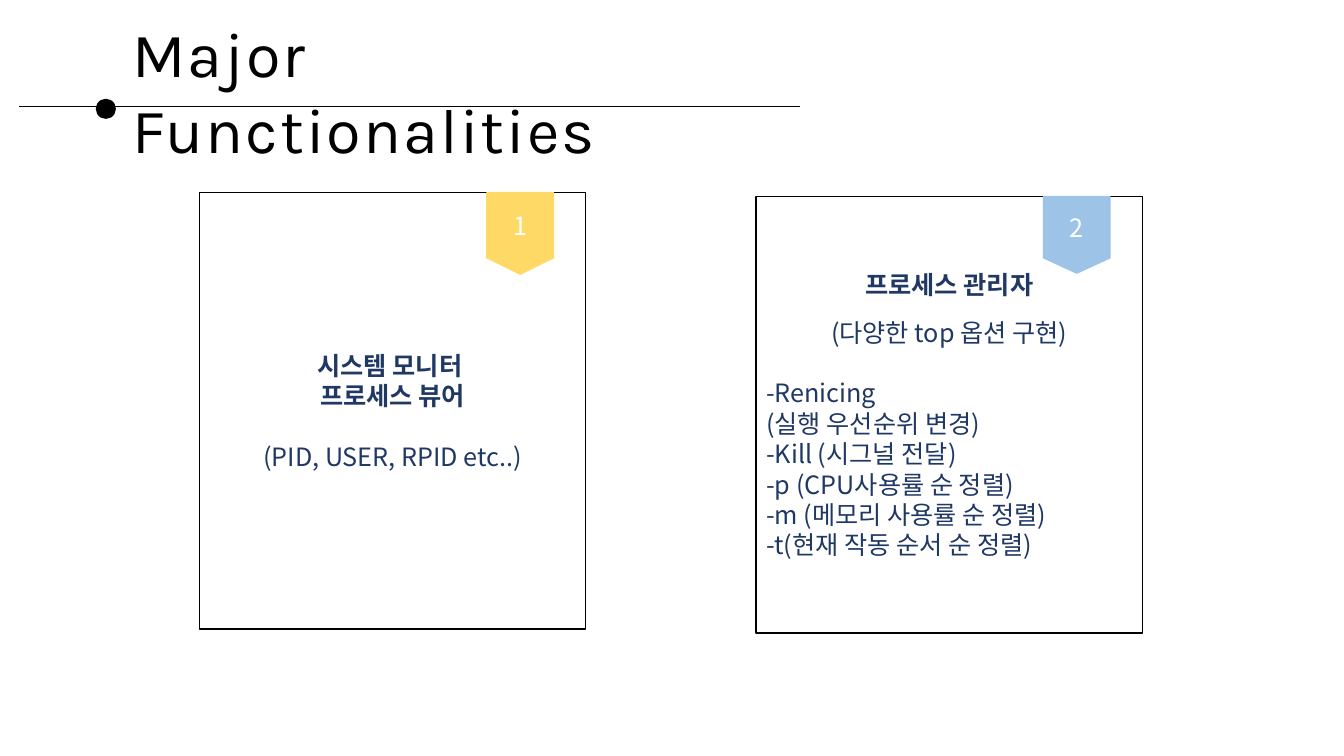
from lxml.etree import SubElement
from pptx import Presentation
from pptx.dml.color import RGBColor
from pptx.enum.shapes import MSO_CONNECTOR, MSO_SHAPE
from pptx.enum.text import MSO_ANCHOR, MSO_AUTO_SIZE, PP_ALIGN
from pptx.oxml.ns import qn
from pptx.util import Inches, Pt

HUES = {"ink": "000000", "paper": "FFFFFF", "navy": "203864",
        "gold": "FFD966", "sky": "9DC3E6"}
NOTO = "Noto Sans CJK KR"


def write(para, text, size=18, font=NOTO, hue="navy", bold=False,
          align=PP_ALIGN.CENTER, pitch=21.7, before=0, track=0):
    para.alignment = align
    para.line_spacing = Pt(pitch)
    para.space_before = Pt(before)
    run = para.add_run()
    run.text = text
    run.font.size = Pt(size)
    run.font.name = font
    run.font.bold = bold
    run.font.color.rgb = RGBColor.from_string(HUES[hue])
    props = run._r.get_or_add_rPr()
    SubElement(props, qn("a:ea")).set("typeface", NOTO)
    if track:
        props.set("spc", str(track))


def place(kind, left, top, width, height, fill, line):
    shape = slide.shapes.add_shape(
        kind, Inches(left), Inches(top), Inches(width), Inches(height))
    shape.shadow.inherit = False
    shape.fill.solid()
    shape.fill.fore_color.rgb = RGBColor.from_string(HUES[fill])
    shape.line.color.rgb = RGBColor.from_string(HUES[line])
    shape.line.width = Pt(1)
    shape.text_frame.word_wrap = True
    shape.text_frame.vertical_anchor = MSO_ANCHOR.MIDDLE
    return shape


deck = Presentation()
deck.slide_width = Inches(13.33)
deck.slide_height = Inches(7.5)
slide = deck.slides.add_slide(deck.slide_layouts[5])

rule = slide.shapes.add_connector(
    MSO_CONNECTOR.STRAIGHT, Inches(0.19), Inches(1.06), Inches(7.93), Inches(1.06))
rule.line.color.rgb = RGBColor.from_string(HUES["ink"])
rule.line.width = Pt(0.5)
SubElement(rule._element.spPr, qn("a:effectLst"))

dot = place(MSO_SHAPE.OVAL, 0.95, 0.98, 0.2, 0.2, "ink", "ink")
dot.line.fill.background()

title = slide.shapes.title
title.left, title.top = Inches(1.21), Inches(0.09)
title.width, title.height = Inches(5.68), Inches(0.86)
frame = title.text_frame
frame.word_wrap = True
frame.auto_size = MSO_AUTO_SIZE.NONE
frame.vertical_anchor = MSO_ANCHOR.TOP
write(frame.paragraphs[0], "Major Functionalities", size=45, font="Karla",
      hue="ink", align=PP_ALIGN.LEFT, pitch=54.3, track=150)

head = {"bold": True}
item = {"align": PP_ALIGN.LEFT}
panels = [
    (1.98, 1.91, 0.81, "gold", [
        ("시스템 모니터 ", {"font": "Karla", **head}),
        ("프로세스 뷰어", {"font": "Karla", **head}),
        ("(PID, USER, RPID etc..)", {"before": 21.7}),
    ]),
    (7.5, 1.95, 0.76, "sky", [
        ("프로세스 관리자", head),
        ("(다양한 top 옵션 구현)", {"before": 12}),
        ("-Renicing", {"before": 21.7, **item}),
        ("(실행 우선순위 변경)", item),
        ("-Kill (시그널 전달)", item),
        ("-p (CPU사용률 순 정렬)", item),
        ("-m (메모리 사용률 순 정렬)", item),
        ("-t(현재 작동 순서 순 정렬)", item),
    ]),
]

for num, (left, top, drop, hue, lines) in enumerate(panels, 1):
    card = place(MSO_SHAPE.RECTANGLE, left, top, 3.83, 4.33, "paper", "ink")
    frame = card.text_frame
    for row, (text, style) in enumerate(lines):
        para = frame.add_paragraph() if row else frame.paragraphs[0]
        write(para, text, **style)
    tag = place(MSO_SHAPE.FLOWCHART_OFFPAGE_CONNECTOR,
                left + 2.85, top, 0.66, drop, hue, hue)
    write(tag.text_frame.paragraphs[0], str(num), hue="paper")

deck.save("out.pptx")
